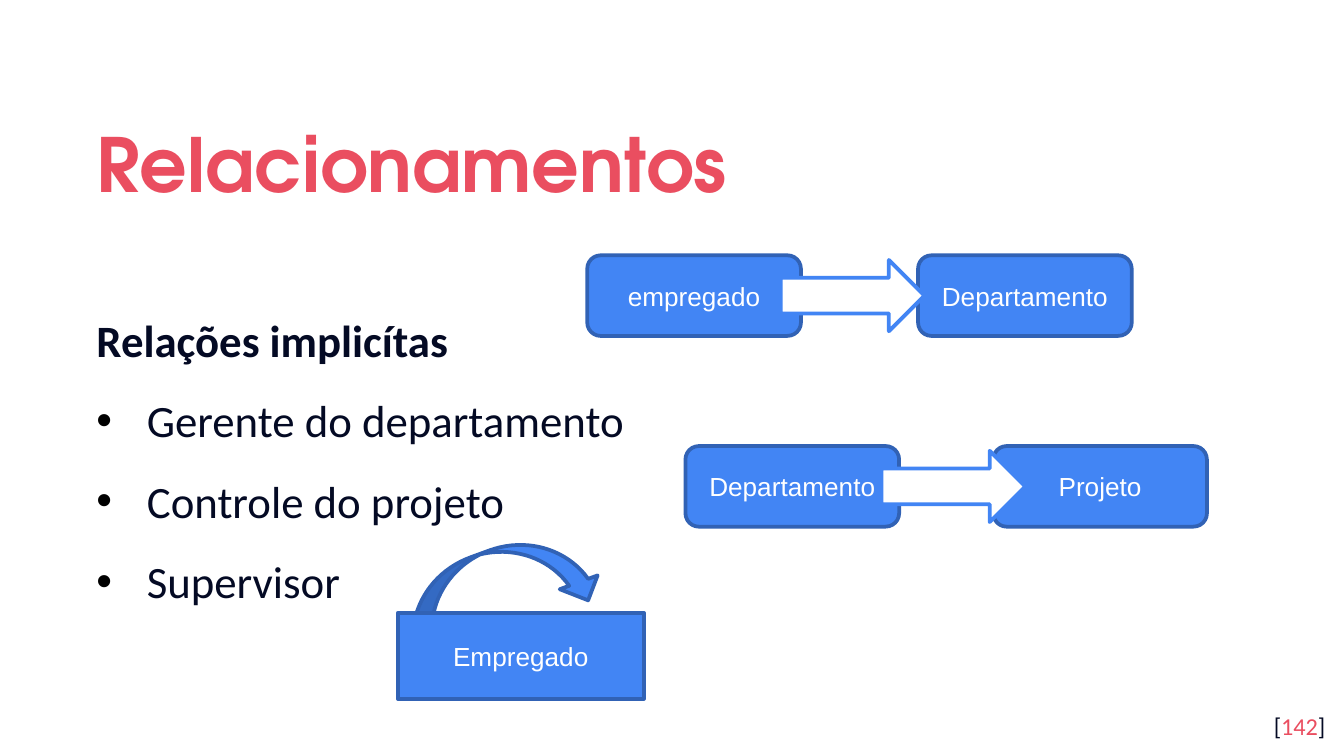
from pptx import Presentation
from pptx.dml.color import RGBColor
from pptx.enum.shapes import MSO_SHAPE as Shape
from pptx.enum.text import MSO_ANCHOR as Anchor, PP_ALIGN as Align
from pptx.oxml.ns import qn
from pptx.util import Pt
from lxml.etree import SubElement

COLORS = {
    "text": "040A24",
    "accent": "EA4E60",
    "bullet": "000000",
    "blue": "4285F4",
    "blue_edge": "3162B5",
    "white": "FFFFFF",
}
INSET = 7.2
INDENT = 27
PARAGRAPH_GAP = 10
ENTITY_SIZE = (114.5, 43.2)
ARROW_SIZE = (77, 38.2)


def color(name):
    return RGBColor.from_string(COLORS[name])


class SlideBuilder:
    def __init__(self, slide):
        self.slide = slide

    def style_run(self, run, size, font_name, color_name, bold=False):
        font = run.font
        font.size = Pt(size)
        font.name = font_name
        font.bold = bold
        font.color.rgb = color(color_name)

    def text_box(self, left, top, width, height, anchor=Anchor.MIDDLE):
        box = self.slide.shapes.add_textbox(Pt(left), Pt(top), Pt(width), Pt(height))
        frame = box.text_frame
        frame.word_wrap = True
        frame.vertical_anchor = anchor
        frame.margin_left = frame.margin_right = Pt(INSET)
        frame.margin_top = frame.margin_bottom = Pt(INSET)
        return frame

    def title(self, text):
        frame = self.text_box(44.6, 50.4, 631.4, 66.2)
        frame.text = text
        paragraph = frame.paragraphs[0]
        paragraph.line_spacing = 1.15
        self.style_run(paragraph.runs[0], 40, "TeX Gyre Adventor", "accent", True)

    def bullet(self, paragraph):
        properties = paragraph._p.get_or_add_pPr()
        properties.set("marL", str(Pt(INDENT)))
        properties.set("indent", str(-Pt(INDENT)))
        bullet_color = SubElement(properties, qn("a:buClr"))
        SubElement(bullet_color, qn("a:srgbClr"), val=COLORS["bullet"])
        SubElement(properties, qn("a:buFont"), typeface="Arial")
        SubElement(properties, qn("a:buChar"), char="•")

    def body(self, heading, items):
        frame = self.text_box(44.6, 116.6, 409.7, 245.5)
        frame.margin_top = Pt(INSET + PARAGRAPH_GAP)
        frame.text = "\n".join([heading, *items])
        for index, paragraph in enumerate(frame.paragraphs):
            if index:
                self.bullet(paragraph)
                paragraph.space_before = Pt(PARAGRAPH_GAP)
            paragraph.alignment = Align.JUSTIFY
            paragraph.line_spacing = 1.15
            self.style_run(paragraph.runs[0], 24, "Calibri", "text", index == 0)

    def page_number(self, number):
        frame = self.text_box(673.9, 373.7, 43.2, 31, Anchor.TOP)
        paragraph = frame.paragraphs[0]
        paragraph.alignment = Align.RIGHT
        for text, color_name in (("[", "text"), (number, "accent"), ("]", "text")):
            run = paragraph.add_run()
            run.text = text
            self.style_run(run, 13, "Calibri", color_name)

    def group(self):
        return self.slide.shapes.add_group_shape()

    def shape(self, group, kind, left, top, size, fill="blue", edge="blue_edge", text=None):
        width, height = size
        shape = group.shapes.add_shape(kind, Pt(left), Pt(top), Pt(width), Pt(height))
        shape.shadow.inherit = False
        shape.fill.solid()
        shape.fill.fore_color.rgb = color(fill)
        shape.line.color.rgb = color(edge)
        shape.line.width = Pt(2)
        if text:
            frame = shape.text_frame
            frame.text = text
            frame.vertical_anchor = Anchor.MIDDLE
            paragraph = frame.paragraphs[0]
            paragraph.alignment = Align.CENTER
            self.style_run(paragraph.runs[0], 14, "Arial", "white")
        return shape

    def relation(self, top, source, target, arrow_left):
        """Draw two (text, left) entities with a block arrow over the gap."""
        group = self.group()
        for text, left in (source, target):
            self.shape(group, Shape.ROUNDED_RECTANGLE, left, top, ENTITY_SIZE, text=text)
        arrow_top = top + (ENTITY_SIZE[1] - ARROW_SIZE[1]) / 2
        self.shape(group, Shape.RIGHT_ARROW, arrow_left, arrow_top, ARROW_SIZE,
                   "white", "blue")

    def self_relation(self, text):
        group = self.group()
        arrow = self.shape(group, Shape.CURVED_DOWN_ARROW, 213.1, 294.5, (108, 43.2))
        arrow.rotation = 340
        self.shape(group, Shape.RECTANGLE, 213.1, 328.3, (131.8, 46.1), text=text)


def main():
    presentation = Presentation()
    presentation.slide_width = Pt(720)
    presentation.slide_height = Pt(405)
    builder = SlideBuilder(presentation.slides.add_slide(presentation.slide_layouts[6]))

    builder.body("Relações implicítas",
                 ["Gerente do departamento", "Controle do projeto", "Supervisor"])
    builder.title("Relacionamentos")
    builder.page_number("142")
    builder.self_relation("Empregado")
    builder.relation(239, ("Departamento", 367.2), ("Projeto", 532.1), 472.3)
    builder.relation(136.8, ("empregado", 314.6), ("Departamento", 491.8), 418.3)

    presentation.save("out.pptx")


if __name__ == "__main__":
    main()
